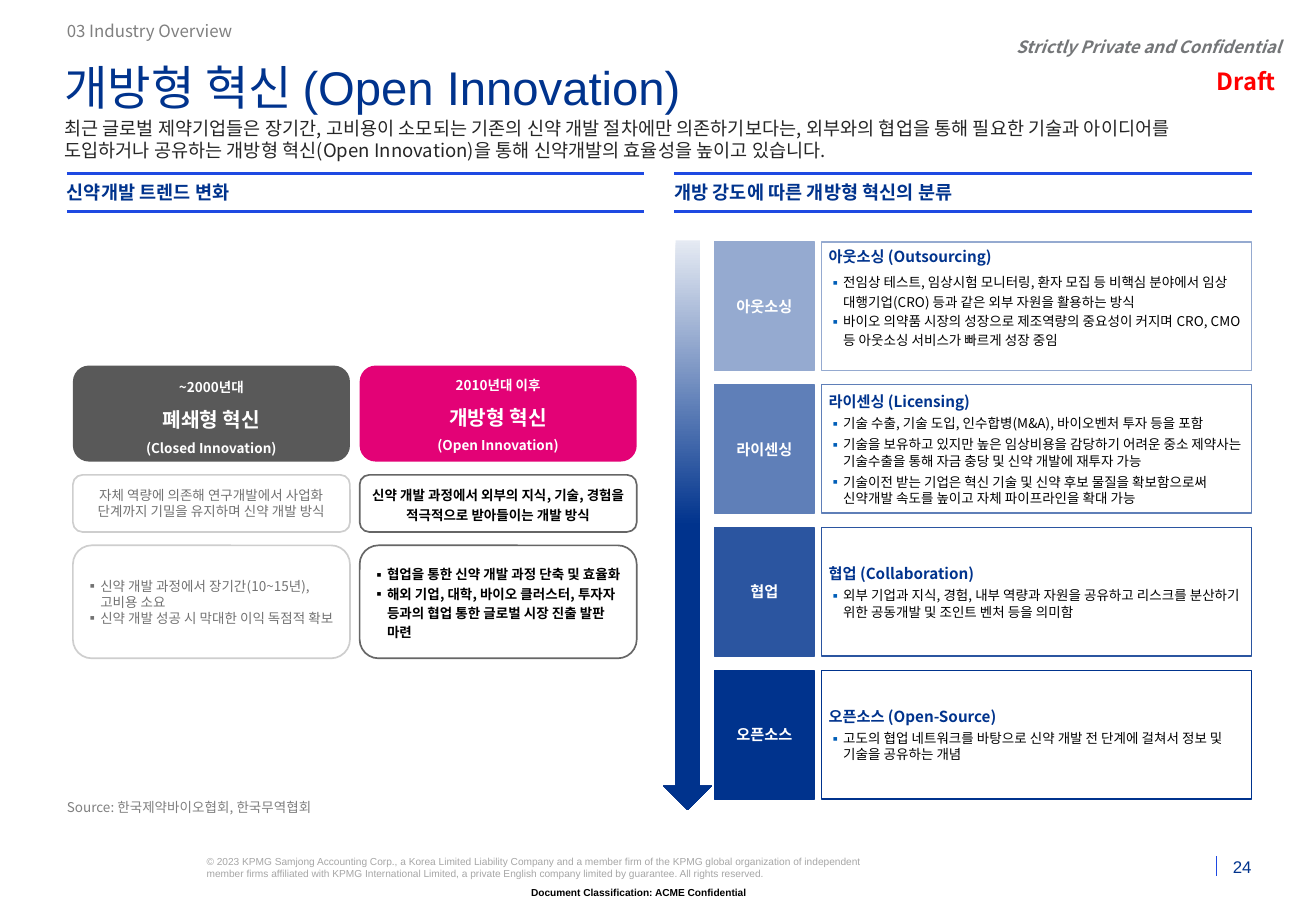
from dataclasses import dataclass
from lxml.etree import SubElement
from pptx import Presentation
from pptx.dml.color import RGBColor
from pptx.enum.shapes import MSO_CONNECTOR, MSO_SHAPE
from pptx.enum.text import MSO_ANCHOR, PP_ALIGN
from pptx.oxml.ns import qn
from pptx.util import Inches, Pt


@dataclass(frozen=True)
class Theme:
    sans: str = "Noto Sans CJK KR"
    arial: str = "Arial"
    navy: str = "00338D"
    rule: str = "1E49E2"
    bullet: str = "005EB8"
    white: str = "FFFFFF"
    black: str = "000000"
    ink: str = "262626"
    muted: str = "808080"
    private: str = "747678"
    draft: str = "FF0000"
    legal: str = "A6A6A6"
    closed: str = "595959"
    closed_edge: str = "CECECE"
    closed_text: str = "727272"
    open: str = "E30276"
    open_edge: str = "666666"
    arrow_tip: str = "E5EAF3"
    steps: tuple = ("95AAD0", "5F7FB8", "2B55A0", "00338D")
    title_size: float = 28
    draft_size: float = 14
    stage_size: float = 12
    lead_size: float = 11
    small_size: float = 10
    label_size: float = 9
    body_size: float = 8
    legal_size: float = 6


THEME = Theme()
CARD_INSETS = (0.06, 0.06, 0.06, 0.06)
DETAIL_INSETS = (0.06, 0.02, 0.06, 0.02)

STEPS = [
    ("아웃소싱", "아웃소싱 (Outsourcing)",
     ["전임상 테스트, 임상시험 모니터링, 환자 모집 등 비핵심 분야에서 임상 대행기업(CRO) 등과 같은 외부 자원을 활용하는 방식",
      "바이오 의약품 시장의 성장으로 제조역량의 중요성이 커지며 CRO, CMO 등 아웃소싱 서비스가 빠르게 성장 중임"],
     MSO_ANCHOR.TOP, 1.2, 0),
    ("라이센싱", "라이센싱 (Licensing)",
     ["기술 수출, 기술 도입, 인수합병(M&A), 바이오벤처 투자 등을 포함",
      "기술을 보유하고 있지만 높은 임상비용을 감당하기 어려운 중소 제약사는 기술수출을 통해 자금 충당 및 신약 개발에 재투자 가능",
      "기술이전 받는 기업은 혁신 기술 및 신약 후보 물질을 확보함으로써 신약개발 속도를 높이고 자체 파이프라인을 확대 가능"],
     MSO_ANCHOR.MIDDLE, 1.0, 3),
    ("협업", "협업 (Collaboration)",
     ["외부 기업과 지식, 경험, 내부 역량과 자원을 공유하고 리스크를 분산하기 위한 공동개발 및 조인트 벤처 등을 의미함"],
     MSO_ANCHOR.MIDDLE, 1.0, 3),
    ("오픈소스", "오픈소스 (Open-Source)",
     ["고도의 협업 네트워크를 바탕으로 신약 개발 전 단계에 걸쳐서 정보 및 기술을 공유하는 개념"],
     MSO_ANCHOR.MIDDLE, 1.0, 3),
]


def rgb(value):
    return RGBColor.from_string(value)


def write(holder, text, *, size=THEME.body_size, color=THEME.black, font=THEME.sans,
          bold=False, italic=False, align=PP_ALIGN.LEFT, spacing=1.0, after=0,
          bullet=None):
    frame = holder.text_frame
    paragraph = frame.paragraphs[0]
    if paragraph.runs:
        paragraph = frame.add_paragraph()
    paragraph.alignment = align
    paragraph.line_spacing = spacing
    paragraph.space_after = Pt(after)
    if bullet:
        properties = paragraph._p.get_or_add_pPr()
        properties.set("marL", str(Inches(0.12)))
        properties.set("indent", str(-Inches(0.12)))
        tint = SubElement(properties, qn("a:buClr"))
        SubElement(tint, qn("a:srgbClr"), val=bullet)
        SubElement(properties, qn("a:buFont"), typeface=THEME.sans)
        SubElement(properties, qn("a:buChar"), char="▪")
    run = paragraph.add_run()
    run.text = text
    run.font.size = Pt(size)
    run.font.bold = bold
    run.font.italic = italic
    run.font.color.rgb = rgb(color)
    run.font.name = font
    SubElement(run._r.get_or_add_rPr(), qn("a:ea"), typeface=THEME.sans)


def frame_text(holder, anchor, insets):
    frame = holder.text_frame
    frame.word_wrap = True
    frame.vertical_anchor = anchor
    (frame.margin_left, frame.margin_top,
     frame.margin_right, frame.margin_bottom) = map(Inches, insets)


def add_label(slide, box, text, anchor=MSO_ANCHOR.TOP, insets=(0, 0, 0, 0), **style):
    label = slide.shapes.add_textbox(*map(Inches, box))
    frame_text(label, anchor, insets)
    write(label, text, **style)


def add_card(slide, box, fill, edge=None, weight=1, kind=MSO_SHAPE.RECTANGLE,
             anchor=MSO_ANCHOR.MIDDLE, insets=CARD_INSETS):
    card = slide.shapes.add_shape(kind, *map(Inches, box))
    card.shadow.inherit = False
    card.fill.solid()
    card.fill.fore_color.rgb = rgb(fill)
    if edge:
        card.line.color.rgb = rgb(edge)
        card.line.width = Pt(weight)
    else:
        card.line.fill.background()
    frame_text(card, anchor, insets)
    return card


def add_rule(slide, start, end, weight):
    rule = slide.shapes.add_connector(MSO_CONNECTOR.STRAIGHT, *map(Inches, start + end))
    rule.line.color.rgb = rgb(THEME.rule)
    rule.line.width = Pt(weight)
    SubElement(rule._element.spPr, qn("a:effectLst"))


def add_heading(slide, box, text):
    left, top, width, height = box
    add_label(slide, box, text, MSO_ANCHOR.MIDDLE, size=THEME.lead_size,
              color=THEME.navy, bold=True)
    for y in (top, top + height):
        add_rule(slide, (left, y), (left + width, y), 1.5)


def add_header(slide, box):
    left, top, width, height = box
    right = left + width + 0.25
    add_label(slide, (left + 0.02, top, 6, 0.23), "03 Industry Overview",
              MSO_ANCHOR.MIDDLE, size=THEME.small_size, color=THEME.muted)
    add_label(slide, (right - 2.6, top + 0.16, 2.6, 0.17), "Strictly Private and Confidential",
              MSO_ANCHOR.MIDDLE, size=THEME.small_size, color=THEME.private,
              bold=True, italic=True, align=PP_ALIGN.RIGHT)
    add_label(slide, (right - 1.92, top + 0.41, 1.92, 0.24), "Draft",
              MSO_ANCHOR.MIDDLE, (0, 0, 0.04, 0), size=THEME.draft_size,
              color=THEME.draft, bold=True, align=PP_ALIGN.RIGHT)
    add_label(slide, (left, top + 0.34, width, 0.47), "개방형 혁신 (Open Innovation)",
              size=THEME.title_size, color=THEME.navy, font=THEME.arial)
    add_label(slide, (left, top + 0.82, width, height - 0.82),
              "최근 글로벌 제약기업들은 장기간, 고비용이 소모되는 기존의 신약 개발 절차에만 의존하기보다는, "
              "외부와의 협업을 통해 필요한 기술과 아이디어를 도입하거나 공유하는 개방형 혁신(Open Innovation)을 "
              "통해 신약개발의 효율성을 높이고 있습니다.",
              size=THEME.lead_size, color=THEME.ink)


def add_era(slide, box, fill, edge, stage, summary, points, first_spacing, spacing, **style):
    left, top, width, height = box
    rounded = MSO_SHAPE.ROUNDED_RECTANGLE
    banner = add_card(slide, (left, top, width, 0.79), fill, kind=rounded)
    sizes = (THEME.body_size, THEME.stage_size, THEME.body_size)
    for text, size, leading in zip(stage, sizes, (first_spacing, 1.5, 1.5)):
        write(banner, text, size=size, color=THEME.white, bold=True,
              align=PP_ALIGN.CENTER, spacing=leading)
    definition = add_card(slide, (left, top + 0.9, width, 0.47), THEME.white, edge, kind=rounded)
    write(definition, summary, align=PP_ALIGN.CENTER, spacing=spacing, **style)
    traits = add_card(slide, (left, top + 1.48, width, height - 1.48), THEME.white, edge,
                      kind=rounded)
    for point in points:
        write(traits, point, bullet=style["color"], spacing=spacing, **style)


def add_trend(slide, box):
    left, top, width, height = box
    add_heading(slide, (left, top, width, 0.31), "신약개발 트렌드 변화")
    add_era(slide, (left + 0.05, top + 1.58, 2.28, 2.41), THEME.closed, THEME.closed_edge,
            ("~2000년대", "폐쇄형 혁신", "(Closed Innovation)"),
            "자체 역량에 의존해 연구개발에서 사업화 단계까지 기밀을 유지하며 신약 개발 방식",
            ("신약 개발 과정에서 장기간(10~15년), 고비용 소요",
             "신약 개발 성공 시 막대한 이익 독점적 확보"),
            1.5, 1.0, color=THEME.closed_text)
    add_era(slide, (left + 2.41, top + 1.58, 2.28, 2.41), THEME.open, THEME.open_edge,
            ("2010년대 이후", "개방형 혁신", "(Open Innovation)"),
            "신약 개발 과정에서 외부의 지식, 기술, 경험을 적극적으로 받아들이는 개발 방식",
            ("협업을 통한 신약 개발 과정 단축 및 효율화",
             "해외 기업, 대학, 바이오 클러스터, 투자자 등과의 협업 통한 글로벌 시장 진출 발판 마련"),
            1.2, 1.2, color=THEME.black, bold=True)
    add_label(slide, (left, top + height - 0.25, width, 0.25),
              "Source: 한국제약바이오협회, 한국무역협회", MSO_ANCHOR.BOTTOM, color=THEME.muted)


def add_classification(slide, box):
    left, top, width, height = box
    add_heading(slide, (left, top, width, 0.31), "개방 강도에 따른 개방형 혁신의 분류")
    row_height = 1.06
    pitch = (height - 0.56 - row_height) / (len(STEPS) - 1)
    for index, (name, heading, points, anchor, spacing, after) in enumerate(STEPS):
        y = top + 0.56 + index * pitch
        shade = THEME.steps[index]
        step = add_card(slide, (left + 0.33, y, 0.82, row_height), shade, shade, 0.75)
        write(step, name, size=THEME.label_size, color=THEME.white, bold=True,
              align=PP_ALIGN.CENTER)
        detail = add_card(slide, (left + 1.21, y, width - 1.21, row_height), THEME.white,
                          shade, anchor=anchor, insets=DETAIL_INSETS)
        write(detail, heading, size=THEME.label_size, color=THEME.navy, bold=True,
              spacing=spacing, after=3)
        for point in points:
            write(detail, point, bullet=THEME.bullet, spacing=spacing, after=after)
    openness = add_card(slide, (left - 0.09, top + 0.55, 0.4, height - 0.46), THEME.navy,
                        kind=MSO_SHAPE.DOWN_ARROW)
    openness.fill.gradient()
    openness.fill.gradient_angle = 270
    stops = zip(openness.fill.gradient_stops, (THEME.arrow_tip, THEME.navy), (0, 0.5))
    for stop, shade, position in stops:
        stop.color.rgb = rgb(shade)
        stop.position = position


def add_footer(slide, box):
    left, top, width, height = box
    add_label(slide, (left, top, 5.59, 0.2),
              "© 2023 KPMG Samjong Accounting Corp., a Korea Limited Liability Company and a member firm "
              "of the KPMG global organization of independent member firms affiliated with KPMG "
              "International Limited, a private English company limited by guarantee. All rights reserved.",
              size=THEME.legal_size, color=THEME.legal, font=THEME.arial)
    add_label(slide, (left + 2.04, top + height - 0.1, 2.4, 0.1),
              "Document Classification: ACME Confidential", size=THEME.legal_size,
              font=THEME.arial, bold=True, align=PP_ALIGN.RIGHT)
    right = left + width
    add_rule(slide, (right - 0.29, top + 0.01), (right - 0.29, top + 0.17), 0.5)
    add_label(slide, (right - 0.27, top + 0.02, 0.27, 0.16), "24", MSO_ANCHOR.BOTTOM,
              size=THEME.small_size, color=THEME.navy, font=THEME.arial, align=PP_ALIGN.RIGHT)


def main():
    deck = Presentation()
    deck.slide_width, deck.slide_height = Inches(10.83), Inches(7.5)
    slide = deck.slides.add_slide(deck.slide_layouts[6])
    add_header(slide, (0.53, 0.14, 9.76, 1.38))
    add_trend(slide, (0.55, 1.43, 4.75, 5.28))
    add_classification(slide, (5.55, 1.43, 4.75, 5.15))
    add_footer(slide, (1.7, 7.04, 8.6, 0.36))
    deck.save("out.pptx")


if __name__ == "__main__":
    main()
